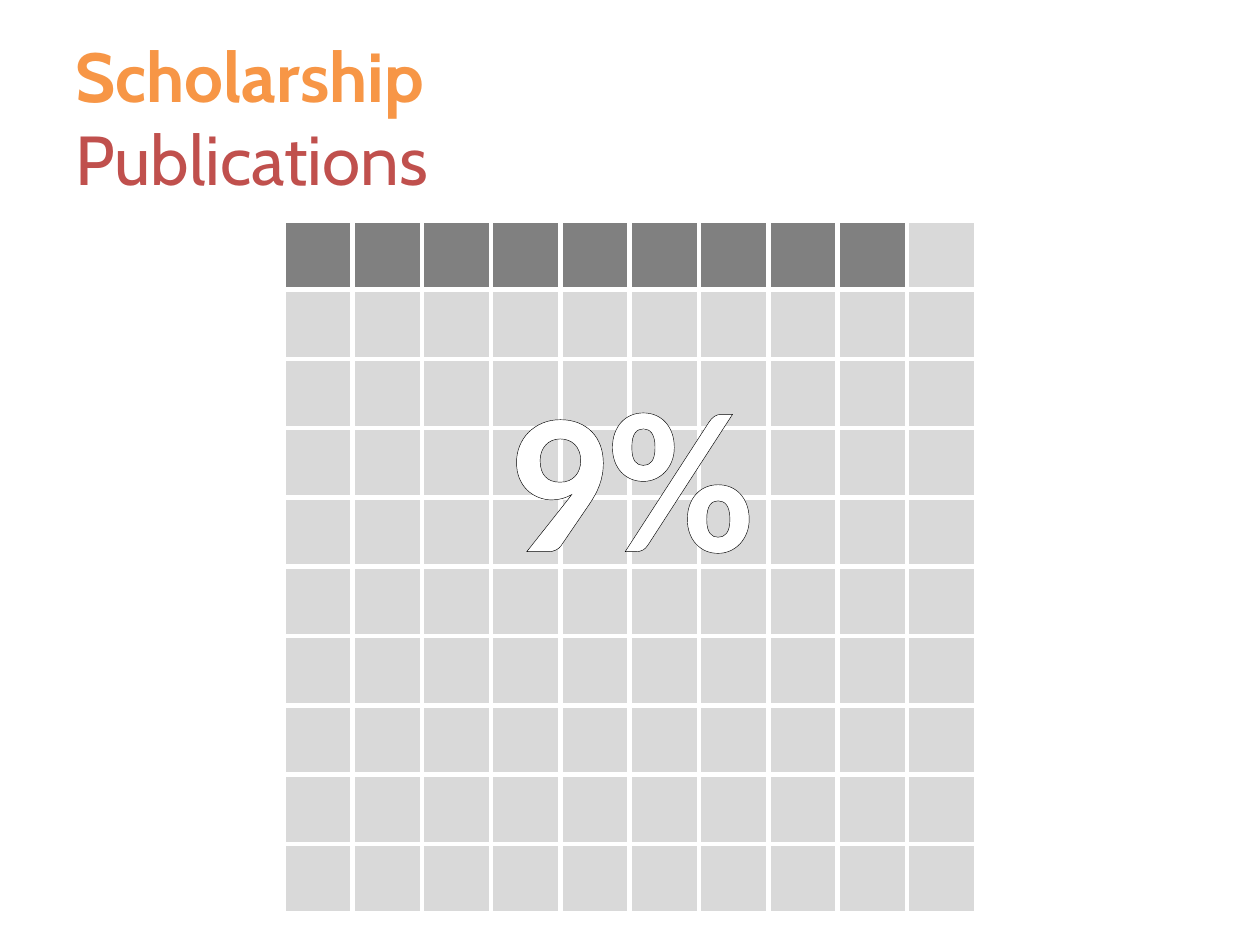
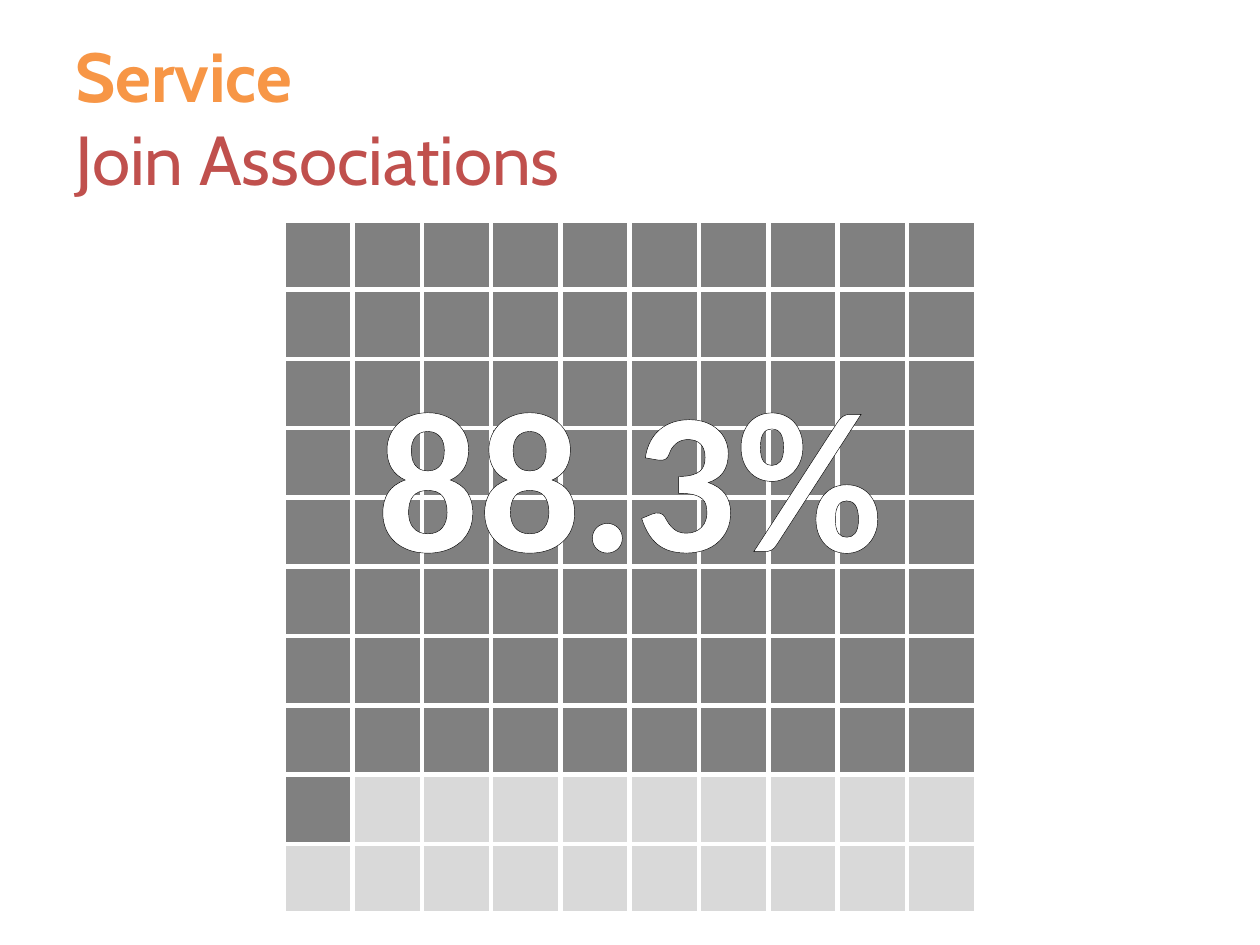
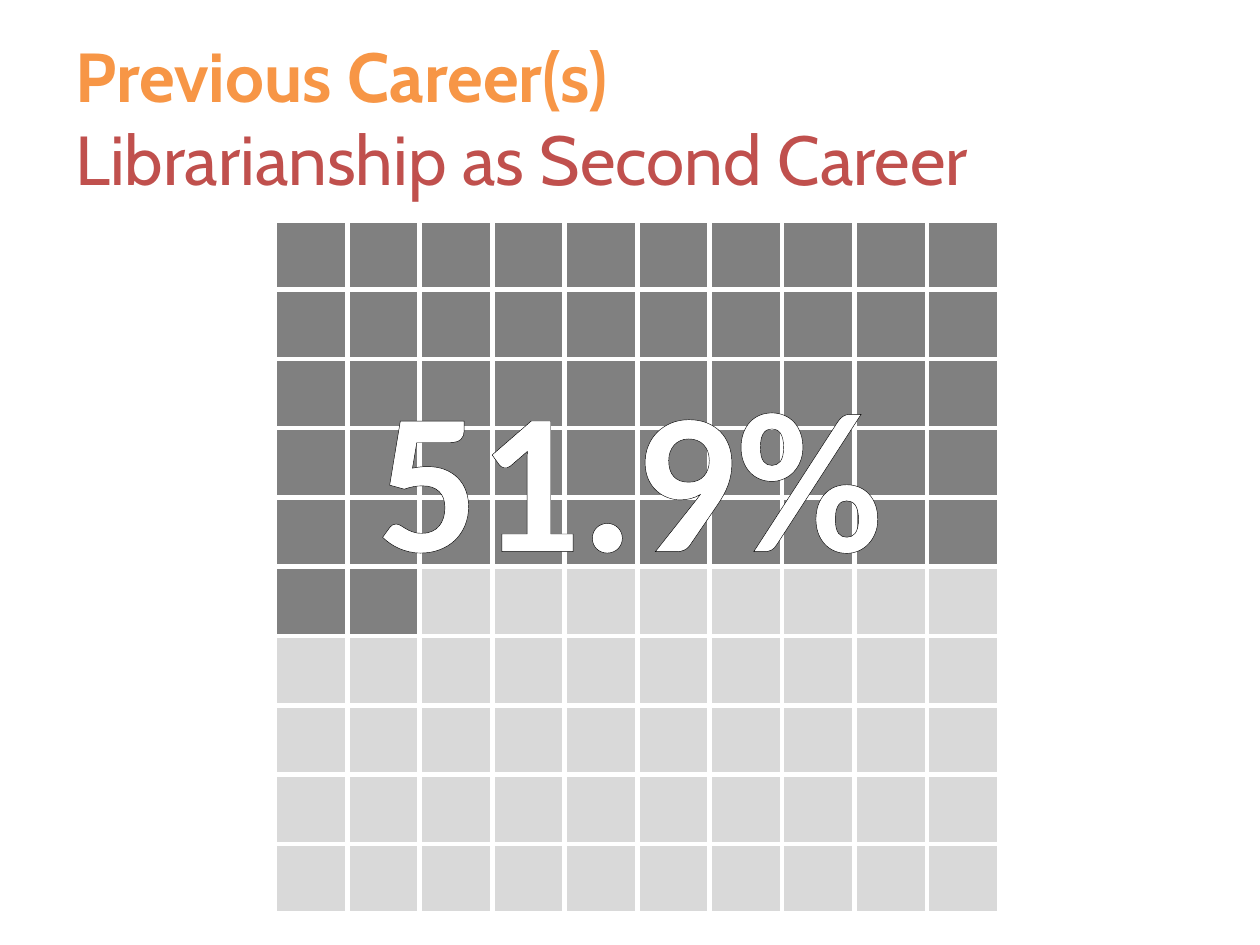
from dataclasses import dataclass
from itertools import product

from lxml.etree import SubElement
from pptx import Presentation
from pptx.dml.color import RGBColor as RGB
from pptx.enum.text import MSO_ANCHOR as Anchor, MSO_AUTO_SIZE as Auto, PP_ALIGN as Align
from pptx.oxml import parse_xml
from pptx.oxml.ns import nsdecls, qn
from pptx.util import Cm, Pt


@dataclass(frozen=True)
class Theme:
    """Colours, fonts and type sizes of the deck."""
    topic: str = "F79646"
    point: str = "C0504D"
    white: str = "FFFFFF"
    edge: str = "000000"
    full: str = "808080"
    rest: str = "D9D9D9"
    head: str = "Cabin"
    body: str = "Calibri"
    title: float = 39.6
    share: float = 115
    line: float = 3


THEME = Theme()
SIDE = 10
SPAN = 13.97
TOP = 4.44


def put(item, form):
    """Set each format value on the item."""
    for name, value in form.items():
        setattr(item, name, value)


def style(run, face, size, color, bold):
    """Set the font of a run."""
    put(run.font, {"name": face, "size": Pt(size), "bold": bold})
    run.font.color.rgb = RGB.from_string(color)


def stroke(tag, color):
    """Make a solid line element for a cell side or for text."""
    line = parse_xml(f'<a:{tag} {nsdecls("a")} w="{Pt(THEME.line)}"/>')
    fill = SubElement(line, qn("a:solidFill"))
    SubElement(fill, qn("a:srgbClr"), val=color)
    return line


def add_text(slide, box, form):
    """Add a wrapping text box and return its first paragraph."""
    frame = slide.shapes.add_textbox(*map(Cm, box)).text_frame
    put(frame, {"word_wrap": True, **form})
    return frame.paragraphs[0]


def add_title(slide, topic, point):
    """Add the two-line title."""
    para = add_text(slide, (1.27, 0.76, 22.86, 3.18),
                    {"vertical_anchor": Anchor.MIDDLE, "auto_size": Auto.NONE})
    run = para.add_run()
    run.text = topic
    style(run, THEME.head, THEME.title, THEME.topic, True)
    para.add_line_break()
    run = para.add_run()
    run.text = point
    style(run, THEME.head, THEME.title, THEME.point, False)


def add_grid(slide, left, width, count):
    """Add a square of cells, with the first ones dark."""
    size = (left, TOP, width, SPAN)
    grid = slide.shapes.add_table(SIDE, SIDE, *map(Cm, size)).table
    put(grid, {"first_row": False, "horz_banding": False})
    for col in grid.columns:
        col.width = Cm(width / SIDE)
    for row in grid.rows:
        row.height = Cm(SPAN / SIDE)
    for spot, (row, col) in enumerate(product(range(SIDE), repeat=2)):
        cell = grid.cell(row, col)
        cell.fill.solid()
        color = THEME.full if spot < count else THEME.rest
        cell.fill.fore_color.rgb = RGB.from_string(color)
        props = cell._tc.get_or_add_tcPr()
        for place, tag in enumerate(("lnL", "lnR", "lnT", "lnB")):
            props.insert(place, stroke(tag, THEME.white))


def add_share(slide, share):
    """Add the large outlined percentage over the grid."""
    para = add_text(slide, (5.98, 6.94, 13.44, 5.18),
                    {"auto_size": Auto.SHAPE_TO_FIT_TEXT})
    para.alignment = Align.CENTER
    run = para.add_run()
    run.text = share
    style(run, THEME.body, THEME.share, THEME.white, True)
    run._r.get_or_add_rPr().insert(0, stroke("ln", THEME.edge))


def main():
    """Build the three slides and save the deck."""
    deck = Presentation()
    put(deck, {"slide_width": Cm(25.4), "slide_height": Cm(19.05)})
    pages = (
        ("Scholarship", "Publications", "9%", 9, 5.71, SPAN),
        ("Service", "Join Associations", "88.3%", 81, 5.71, SPAN),
        ("Previous Career(s)", "Librarianship as Second Career", "51.9%", 52, 5.54, 14.61),
    )
    for topic, point, share, count, left, width in pages:
        slide = deck.slides.add_slide(deck.slide_layouts[6])
        add_title(slide, topic, point)
        add_grid(slide, left, width, count)
        add_share(slide, share)
    deck.save("out.pptx")


if __name__ == "__main__":
    main()
